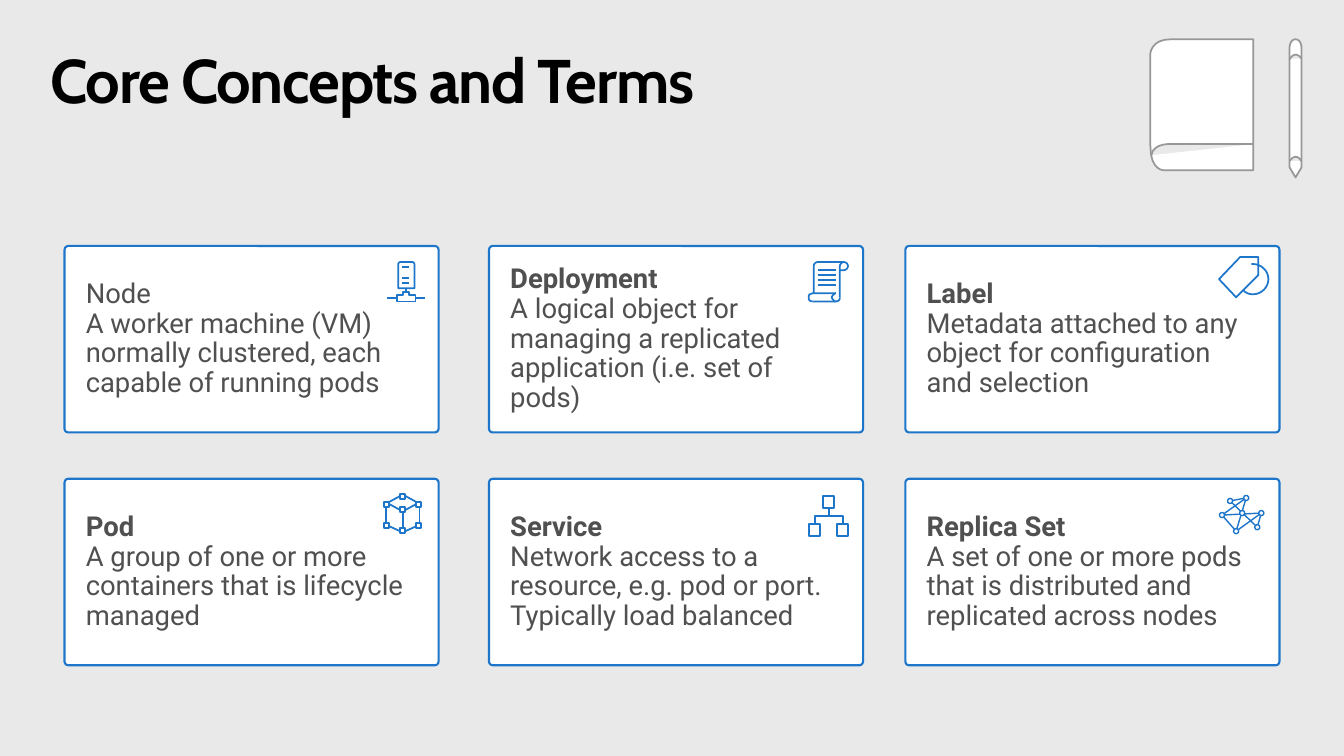
from dataclasses import dataclass

from lxml.etree import SubElement
from pptx import Presentation
from pptx.dml.color import RGBColor
from pptx.enum.shapes import MSO_CONNECTOR, MSO_SHAPE
from pptx.enum.text import MSO_ANCHOR, PP_ALIGN
from pptx.oxml.ns import qn
from pptx.util import Inches, Pt


@dataclass(frozen=True)
class Theme:
    """Colours, fonts and type sizes of the slide."""
    backdrop: str = "E9E9E9"
    paper: str = "FFFFFF"
    accent: str = "1E76CA"
    node: str = "F7F9FD"
    sketch: str = "979797"
    heading: str = "000000"
    body: str = "505050"
    heading_font: str = "Cabin"
    body_font: str = "Roboto"
    heading_size: float = 44
    body_size: float = 19.6


THEME = Theme()
COLUMNS, ROWS = 1333, 750
CARD_COLUMNS, CARD_ROWS = (64, 485, 898), (244, 475)
CARD_WIDTH, CARD_HEIGHT = 371, 185


def grid(steps):
    """Turn a count of grid columns or rows into a length."""
    return Inches(steps / 100)


def box_stroke(left, top, width, height):
    """Return the closed outline of a rectangle."""
    right, bottom = left + width, top + height
    return [(left, top), (right, top), (right, bottom), (left, bottom), (left, top)]


SERVER = [
    [(10, 39), (10, 33), (16, 33), (16, 30), (22, 30), (22, 33), (28, 33), (28, 39), (10, 39)],
    [(10, 36), (0, 36)], [(28, 36), (38, 36)], [(19, 30), (19, 26)],
    [(27, 26), (27, 2), (27, 1, 26, 0, 25, 0), (13, 0), (12, 0, 11, 1, 11, 2), (11, 26), (27, 26)],
    *[[(15, y), (22, y)] for y in (5, 16, 21)],
]
SCROLL = [
    [(27, 31), (26, 31, 25, 32, 25, 32), (24, 33, 23, 34, 23, 35),
     (23, 36, 24, 37, 25, 38), (25, 39, 26, 39, 27, 39)],
    [(4, 39), (3, 39, 2, 39, 1, 38), (0, 37, 0, 36, 0, 35),
     (0, 34, 0, 33, 1, 32), (2, 32, 3, 31, 4, 31), (27, 31)],
    [(35, 0), (9, 0), (7, 0, 5, 2, 5, 4), (5, 31)],
    [(31, 8), (35, 8), (37, 8, 39, 6, 39, 4), (39, 2, 37, 0, 35, 0),
     (33, 0, 31, 2, 31, 4), (31, 35)],
    [(4, 39), (27, 39), (30, 39, 31, 37, 31, 35)],
    *[[(9, y), (27, y)] for y in range(8, 24, 5)],
]
TAG = [
    [(39, 18), (17, 40), (0, 22), (21, 0), (39, 0), (39, 18)],
    [(24, 33), (27, 36, 30, 37, 34, 37), (42, 37, 49, 30, 49, 22),
     (49, 14, 42, 7, 34, 7), (32, 7)],
]
CUBE = [
    *[box_stroke(x, y, 5, 5) for x, y in
      ((0, 29), (16, 34), (0, 8), (16, 13), (16, 0), (32, 8), (32, 29))],
    [(5, 8), (16, 2)], [(21, 2), (32, 8)], [(21, 16), (32, 10)],
    [(5, 10), (16, 16)], [(21, 37), (32, 32)], [(16, 37), (5, 32)],
    [(35, 13), (35, 29)], [(19, 18), (19, 34)], [(2, 13), (2, 29)],
]
TREE = [
    *[box_stroke(x, y, 11, 12) for x, y in ((0, 28), (28, 28), (14, 0))],
    [(20, 12), (20, 20)], [(34, 28), (34, 20), (6, 20), (6, 28)],
]
NOTEBOOK_AND_PEN = [
    [(102, 0), (102, 130), (14, 130), (14, 130, 0, 131, 0, 106), (0, 14),
     (0, 14, 1, 0, 20, 0), (102, 0)],
    [(102, 104), (22, 104), (22, 104, 3, 102, 1, 115)],
    [(144, 137), (150, 127), (150, 9), (150, 9, 150, 0, 144, 0),
     (138, 0, 138, 9, 138, 9), (138, 127), (144, 137)],
    [(150, 19), (143, 10, 138, 20, 138, 20)],
    [(150, 121), (144, 111, 138, 121, 138, 121)],
]
NETWORK_NODES = [(11, 7), (27, 4), (23, 19), (42, 19), (17, 37), (38, 33), (3, 21)]
NETWORK_LINKS = [(0, 5), (3, 5), (6, 3), (4, 6), (1, 4), (3, 4), (6, 1), (0, 1)]
CARDS = [
    (0, 0, "Node", "A worker machine (VM) normally clustered, each capable of running pods",
     SERVER, 320, 16),
    (1, 0, "Deployment", "A logical object for managing a replicated application (i.e. set of pods)",
     SCROLL, 317, 16),
    (2, 0, "Label", "Metadata attached to any object for configuration and selection",
     TAG, 311, 11),
    (0, 1, "Pod", "A group of one or more containers that is lifecycle managed",
     CUBE, 317, 15),
    (1, 1, "Service", "Network access to a resource, e.g. pod or port. Typically load balanced",
     TREE, 317, 17),
    (2, 1, "Replica Set", "A set of one or more pods that is distributed and replicated across nodes",
     None, 311, 15),
]


def paint(shape, fill, line, weight):
    """Set the fill and outline of a shape and drop its shadow."""
    shape.shadow.inherit = False
    if fill:
        shape.fill.solid()
        shape.fill.fore_color.rgb = RGBColor.from_string(fill)
    else:
        shape.fill.background()
    shape.line.color.rgb = RGBColor.from_string(line)
    shape.line.width = Pt(weight)


def trace(stroke, pieces=8):
    """Flatten a stroke of points and cubic curves into points."""
    points = [stroke[0]]
    for step in stroke[1:]:
        if len(step) == 2:
            points.append(step)
            continue
        corners = [points[-1], step[:2], step[2:4], step[4:]]
        for piece in range(1, pieces + 1):
            t = piece / pieces
            weights = ((1 - t) ** 3, 3 * t * (1 - t) ** 2, 3 * t * t * (1 - t), t ** 3)
            points.append(tuple(sum(w * c[axis] for w, c in zip(weights, corners))
                                for axis in (0, 1)))
    return points


def add_drawing(page, strokes, left, top, fill=None, line=THEME.accent):
    """Draw all strokes as one freeform."""
    builder = None
    for stroke in strokes:
        start, *rest = [(grid(x), grid(y)) for x, y in trace(stroke)]
        if builder is None:
            builder = page.shapes.build_freeform(*start)
        else:
            builder.move_to(*start)
        builder.add_line_segments(rest, close=rest[-1] == start)
    paint(builder.convert_to_shape(grid(left), grid(top)), fill, line, 1.25)


def add_network(page, left, top, diameter=5):
    """Draw linked round nodes."""
    centres = [(left + x, top + y) for x, y in NETWORK_NODES]
    for begin, end in NETWORK_LINKS:
        ends = [grid(value) for value in centres[begin] + centres[end]]
        link = page.shapes.add_connector(MSO_CONNECTOR.STRAIGHT, *ends)
        link.line.color.rgb = RGBColor.from_string(THEME.accent)
        link.line.width = Pt(1)
        SubElement(link._element.spPr, qn("a:effectLst"))
    for x, y in centres:
        node = page.shapes.add_shape(MSO_SHAPE.OVAL, grid(x - diameter / 2), grid(y - diameter / 2),
                                     grid(diameter), grid(diameter))
        paint(node, THEME.node, THEME.accent, 1)


def set_frame(frame, side=0, end=0, anchor=MSO_ANCHOR.TOP):
    """Prepare a text frame and return its first paragraph."""
    frame.word_wrap = True
    frame.vertical_anchor = anchor
    frame.margin_left = frame.margin_right = grid(side)
    frame.margin_top = frame.margin_bottom = grid(end)
    para = frame.paragraphs[0]
    para.alignment = PP_ALIGN.LEFT
    para.line_spacing = 0.9
    return para


def add_span(para, text, font=THEME.body_font, size=THEME.body_size, color=THEME.body, bold=False):
    """Add formatted text to a paragraph."""
    span = para.add_run()
    span.text = text
    span.font.name, span.font.size, span.font.bold = font, Pt(size), bold
    span.font.color.rgb = RGBColor.from_string(color)
    return span


def add_title(page, text):
    """Add the slide heading."""
    box = page.shapes.add_textbox(grid(50), grid(50), grid(COLUMNS - 100), grid(69))
    span = add_span(set_frame(box.text_frame), text, font=THEME.heading_font,
                    size=THEME.heading_size, color=THEME.heading, bold=True)
    span._r.get_or_add_rPr().set("spc", "-100")


def add_card(page, left, top, term, meaning, bold=True):
    """Add a rounded card with a term and its meaning."""
    card = page.shapes.add_shape(MSO_SHAPE.ROUNDED_RECTANGLE, grid(left), grid(top),
                                 grid(CARD_WIDTH), grid(CARD_HEIGHT))
    card.adjustments[0] = 0.02
    paint(card, THEME.paper, THEME.accent, 1.5)
    para = set_frame(card.text_frame, side=20, end=16, anchor=MSO_ANCHOR.MIDDLE)
    add_span(para, term, bold=bold)
    para.add_line_break()
    add_span(para, meaning)


def main():
    """Build and save the deck."""
    deck = Presentation()
    deck.slide_width, deck.slide_height = grid(COLUMNS), grid(ROWS)
    page = deck.slides.add_slide(deck.slide_layouts[6])
    page.background.fill.solid()
    page.background.fill.fore_color.rgb = RGBColor.from_string(THEME.backdrop)
    add_title(page, "Core Concepts and Terms")
    for column, row, term, meaning, strokes, across, down in CARDS:
        left, top = CARD_COLUMNS[column], CARD_ROWS[row]
        add_card(page, left, top, term, meaning, bold=term != "Node")
        if strokes:
            add_drawing(page, strokes, left + across, top + down)
        else:
            add_network(page, left + across, top + down)
    add_drawing(page, NOTEBOOK_AND_PEN, 1141, 39, fill=THEME.paper, line=THEME.sketch)
    deck.save("out.pptx")


if __name__ == "__main__":
    main()
